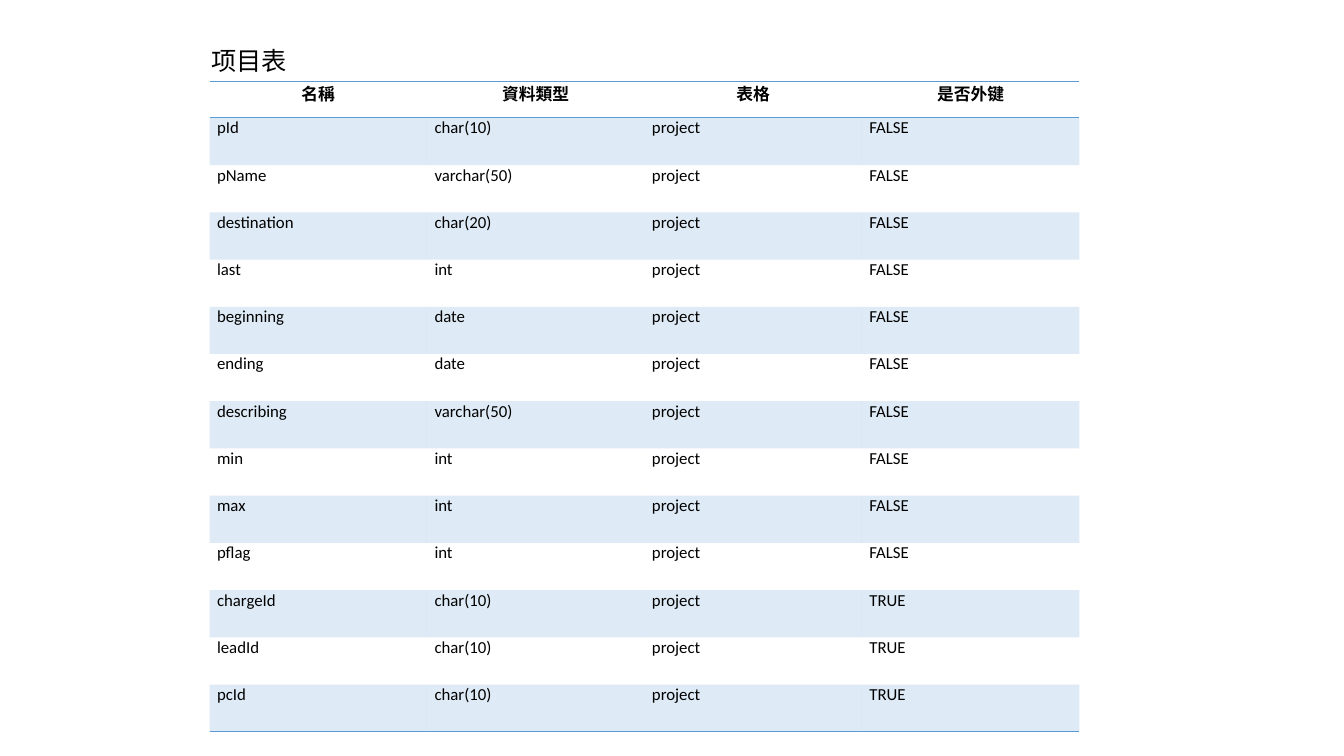
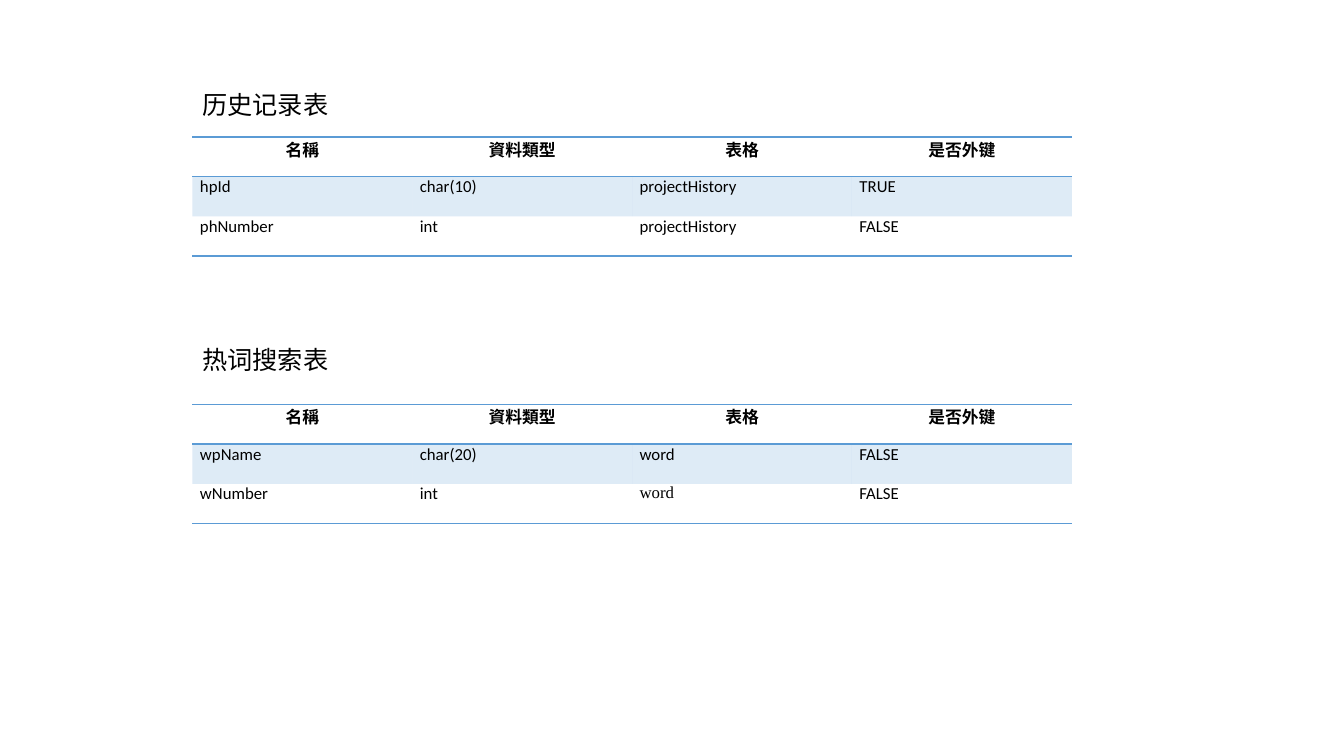
import lxml.etree
import pptx
import pptx.dml.color
import pptx.enum.text
import pptx.oxml.ns
import pptx.util
from pptx.util import Cm

# Content: titles and tables of each slide, with places in centimetres
HEADINGS = ("名稱", "資料類型", "表格", "是否外键")
PROJECT_FIELDS = [
    ("pId", "char(10)", "FALSE"),
    ("pName", "varchar(50)", "FALSE"),
    ("destination", "char(20)", "FALSE"),
    ("last", "int", "FALSE"),
    ("beginning", "date", "FALSE"),
    ("ending", "date", "FALSE"),
    ("describing", "varchar(50)", "FALSE"),
    ("min", "int", "FALSE"),
    ("max", "int", "FALSE"),
    ("pflag", "int", "FALSE"),
    ("chargeId", "char(10)", "TRUE"),
    ("leadId", "char(10)", "TRUE"),
    ("pcId", "char(10)", "TRUE"),
]
HISTORY_FIELDS = [("hpId", "char(10)", "TRUE"), ("phNumber", "int", "FALSE")]
WORD_FIELDS = [("wpName", "char(20)", "FALSE"), ("wNumber", "int", "FALSE")]

LARGE = {"left": 5.28, "column": 5.48, "header": 0.92, "row": 1.19}
SMALL = {"left": 4.85, "column": 5.54, "header": 1, "row": 1}
SLIDES = [
    [{"title": "项目表", "title_at": (5.08, 1.02, 5.16), "entity": "project",
      "fields": PROJECT_FIELDS, "top": 2.05, "grid": LARGE}],
    [{"title": "历史记录表", "title_at": (4.85, 2.13, 4.04), "entity": "projectHistory",
      "fields": HISTORY_FIELDS, "top": 3.45, "grid": SMALL},
     {"title": "热词搜索表", "title_at": (4.85, 8.56, 4.19), "entity": "word",
      "fields": WORD_FIELDS, "top": 10.19, "grid": SMALL}],
]

# Shared look
FONT = "Calibri"
SERIF_FONT = "Times New Roman"
SERIF_CELL = ("wNumber", 2)  # field name and column set in the serif font
BLACK, BLUE = "000000", "5B9BD5"
BAND_OPACITY = 20
PLAIN_STYLE = "{2D5ABB26-0587-4C30-8999-92F81FD0307C}"
qn = pptx.oxml.ns.qn


def color(value):
    return pptx.dml.color.RGBColor.from_string(value)


def set_font(paragraph, size, bold=False, name=FONT):
    font = paragraph.font
    font.name, font.size, font.bold = name, pptx.util.Pt(size), bold
    font.color.rgb = color(BLACK)


def add_border(cell, side):
    line = lxml.etree.Element(qn("a:ln" + side), w=str(pptx.util.Pt(1)))
    fill = lxml.etree.SubElement(line, qn("a:solidFill"))
    lxml.etree.SubElement(fill, qn("a:srgbClr"), val=BLUE)
    cell._tc.get_or_add_tcPr().insert(0, line)


def fill_cell(cell, banded):
    if not banded:
        cell.fill.background()
        return
    cell.fill.solid()
    cell.fill.fore_color.rgb = color(BLUE)
    shade = cell._tc.tcPr.find(".//" + qn("a:srgbClr"))
    lxml.etree.SubElement(shade, qn("a:alpha"), val=str(BAND_OPACITY * 1000))


def add_title(page, text, place):
    left, top, width = place
    box = page.shapes.add_textbox(Cm(left), Cm(top), Cm(width), Cm(1.03))
    box.text_frame.word_wrap = True
    box.text_frame.auto_size = pptx.enum.text.MSO_AUTO_SIZE.SHAPE_TO_FIT_TEXT
    paragraph = box.text_frame.paragraphs[0]
    paragraph.text = text
    set_font(paragraph, 18)


def add_field_table(page, entity, fields, top, grid):
    rows = [HEADINGS] + [(name, kind, entity, key) for name, kind, key in fields]
    height = grid["header"] + grid["row"] * len(fields)
    frame = page.shapes.add_table(
        len(rows), len(HEADINGS), Cm(grid["left"]), Cm(top),
        Cm(grid["column"] * len(HEADINGS)), Cm(height))
    table = frame.table
    table.horz_banding = False
    table._tbl.tblPr.find(qn("a:tableStyleId")).text = PLAIN_STYLE
    for column in table.columns:
        column.width = Cm(grid["column"])

    for row_index, values in enumerate(rows):
        is_header = row_index == 0
        table.rows[row_index].height = Cm(grid["header" if is_header else "row"])
        for column_index, value in enumerate(values):
            cell = table.cell(row_index, column_index)
            cell.margin_left = cell.margin_right = Cm(0.19)
            cell.margin_top = cell.margin_bottom = 0
            paragraph = cell.text_frame.paragraphs[0]
            paragraph.text = value
            is_serif = (values[0], column_index) == SERIF_CELL
            set_font(paragraph, 12, is_header, SERIF_FONT if is_serif else FONT)
            if is_header:
                paragraph.alignment = pptx.enum.text.PP_ALIGN.CENTER
            fill_cell(cell, row_index % 2 == 1)
            # Rules below the header and the last row, and above the header
            if is_header or row_index == len(rows) - 1:
                add_border(cell, "B")
            if is_header:
                add_border(cell, "T")


def main():
    deck = pptx.Presentation()
    deck.slide_width, deck.slide_height = Cm(33.87), Cm(19.05)
    for sections in SLIDES:
        page = deck.slides.add_slide(deck.slide_layouts[6])
        for section in sections:
            add_field_table(page, section["entity"], section["fields"],
                            section["top"], section["grid"])
            add_title(page, section["title"], section["title_at"])
    deck.save("out.pptx")


if __name__ == "__main__":
    main()
